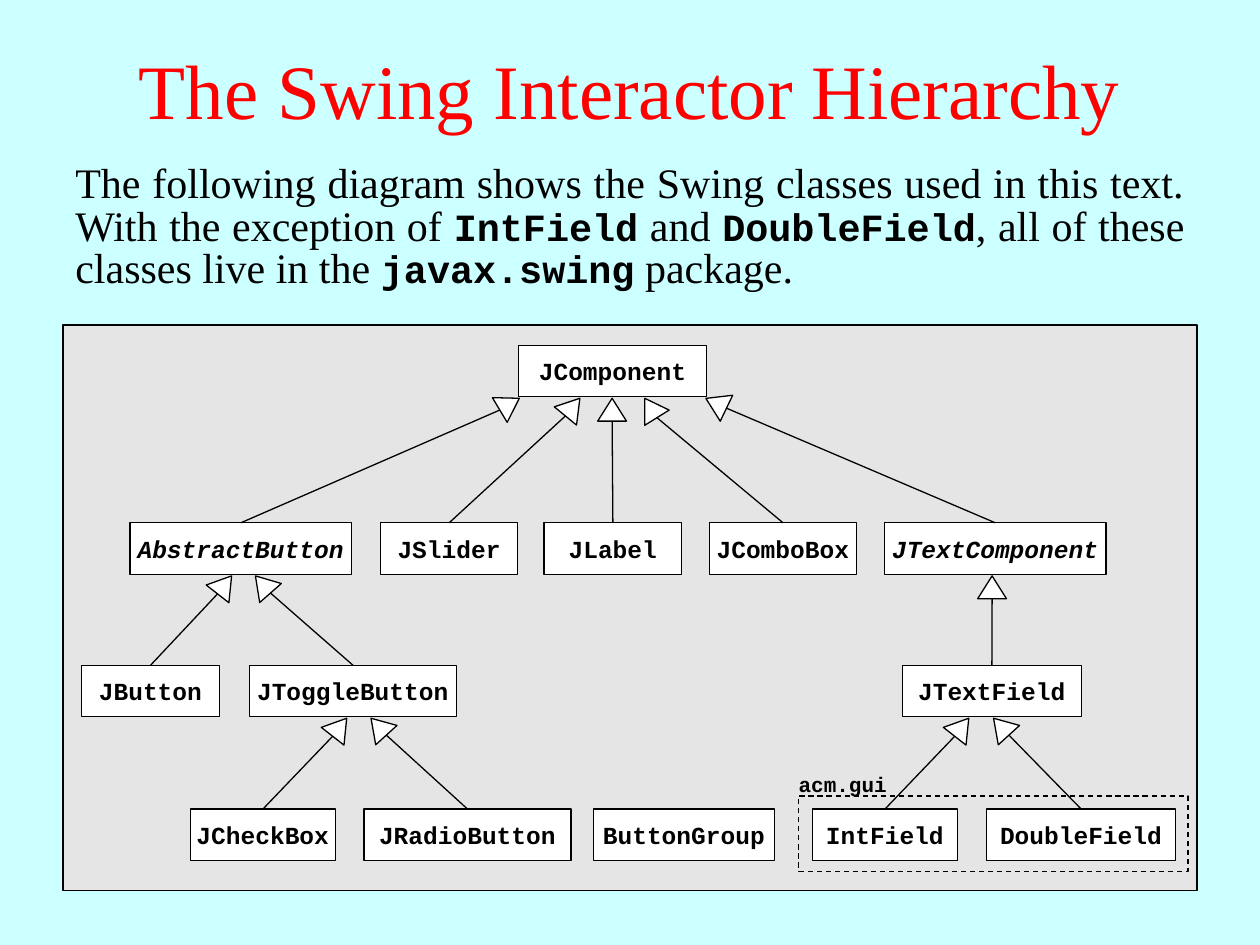
import math

from lxml import etree
from pptx import Presentation
from pptx import util as u
from pptx.dml.color import RGBColor
from pptx.enum import dml, shapes, text
from pptx.oxml import ns

SKY = RGBColor(0xCC, 0xFF, 0xFF)
RED = RGBColor(0xFF, 0x00, 0x00)
BLACK = RGBColor(0x00, 0x00, 0x00)
WHITE = RGBColor(0xFF, 0xFF, 0xFF)
GRAY = RGBColor(0xE5, 0xE5, 0xE5)
SERIF, MONO = "Times New Roman", "Courier New"

TITLE = "The Swing Interactor Hierarchy"
# Plain and code runs alternate, starting with plain
INTRO = [
    "The following diagram shows the Swing classes used in this text. "
    "With the exception of ", "IntField", " and ", "DoubleField",
    ", all of these classes live in the ", "javax.swing", " package.",
]

# Lengths below are in cm: row top, then (class, left, width)
ROWS = [
    (6.96, [("JComponent", 10.46, 3.78)]),
    (10.54, [("AbstractButton", 2.62, 4.47), ("JSlider", 7.67, 2.77),
             ("JLabel", 10.97, 2.77), ("JComboBox", 14.3, 2.97),
             ("JTextComponent", 17.83, 4.47)]),
    (13.41, [("JButton", 1.65, 2.77), ("JToggleButton", 5.03, 4.17),
             ("JTextField", 18.19, 3.61)]),
    (16.31, [("JCheckBox", 3.84, 2.92), ("JRadioButton", 7.34, 4.17),
             ("ButtonGroup", 11.96, 3.66), ("IntField", 16.38, 2.92),
             ("DoubleField", 19.89, 3.81)]),
]
ABSTRACT = {"AbstractButton", "JTextComponent"}

# Parent: (child, x of the arrow tip, turn of the arrow in degrees)
LINKS = {
    "JComponent": [("AbstractButton", 10.47, 59.1), ("JSlider", 11.69, 39.4),
                   ("JLabel", 12.34, 0), ("JComboBox", 13, -31.9),
                   ("JTextComponent", 14.23, -64.4)],
    "AbstractButton": [("JButton", 4.67, 38), ("JToggleButton", 5.15, -41.3)],
    "JTextComponent": [("JTextField", 20, 0)],
    "JToggleButton": [("JCheckBox", 6.99, 38), ("JRadioButton", 7.48, -42.3)],
    "JTextField": [("IntField", 19.53, 38), ("DoubleField", 20.03, -42.3)],
}
BOX_H, TIP_W, TIP_H, GAP = 1.04, 0.58, 0.46, 0.03

deck = Presentation()
deck.slide_width, deck.slide_height = u.Cm(25.4), u.Cm(19.05)
slide = deck.slides.add_slide(deck.slide_layouts[6])
slide.background.fill.solid()
slide.background.fill.fore_color.rgb = SKY


def write(para, words, size, face=MONO, color=BLACK, bold=True, italic=False):
    run = para.add_run()
    run.text = words
    font = run.font
    font.size, font.name, font.bold, font.italic = u.Pt(size), face, bold, italic
    font.color.rgb = color


def add_text(left, top, width, height, align, anchor=text.MSO_ANCHOR.TOP):
    """Add a wrapping text box and return its first paragraph."""
    frame = slide.shapes.add_textbox(
        u.Cm(left), u.Cm(top), u.Cm(width), u.Cm(height)).text_frame
    frame.word_wrap = True
    frame.vertical_anchor = anchor
    para = frame.paragraphs[0]
    para.alignment = align
    return para


def ink(item):
    item.line.color.rgb = BLACK
    item.line.width = u.Pt(0.75)


def add_form(left, top, width, height, fill=WHITE,
             kind=shapes.MSO_SHAPE.RECTANGLE):
    form = slide.shapes.add_shape(
        kind, u.Cm(left), u.Cm(top), u.Cm(width), u.Cm(height))
    form.shadow.inherit = False
    if fill is None:
        form.fill.background()
    else:
        form.fill.solid()
        form.fill.fore_color.rgb = fill
    ink(form)
    return form


def add_class(name, left, top, width):
    box = add_form(left, top, width, BOX_H)
    frame = box.text_frame
    frame.word_wrap = False
    frame.vertical_anchor = text.MSO_ANCHOR.MIDDLE
    para = frame.paragraphs[0]
    para.alignment = text.PP_ALIGN.CENTER
    write(para, name, 14, italic=name in ABSTRACT)
    return box


def add_link(child, tip_x, tip_y, turn):
    """Draw a line from the child's top to the base of a turned triangle."""
    dx, dy = -math.sin(math.radians(turn)), math.cos(math.radians(turn))
    mid_x, mid_y = tip_x + dx * TIP_H / 2, tip_y + dy * TIP_H / 2
    tip = add_form(mid_x - TIP_W / 2, mid_y - TIP_H / 2, TIP_W, TIP_H,
                   kind=shapes.MSO_SHAPE.ISOSCELES_TRIANGLE)
    tip.rotation = turn
    line = slide.shapes.add_connector(
        shapes.MSO_CONNECTOR.STRAIGHT, 0, 0,
        u.Cm(tip_x + dx * TIP_H), u.Cm(tip_y + dy * TIP_H))
    line.begin_connect(child, 0)
    ink(line)
    etree.SubElement(line._element.spPr, ns.qn("a:effectLst"))


head = add_text(0, 0.2, 25.4, 3.18, text.PP_ALIGN.CENTER, text.MSO_ANCHOR.MIDDLE)
write(head, TITLE, 44, SERIF, RED, bold=False)

intro = add_text(1.27, 3.18, 22.86, 3.71, text.PP_ALIGN.JUSTIFY)
intro.line_spacing = 0.85
for i, part in enumerate(INTRO):
    if i % 2:
        write(intro, part, 22)
    else:
        write(intro, part, 24, SERIF, bold=False)

add_form(1.27, 6.55, 22.86, 11.4, GRAY)
boxes, ends = {}, {}
for top, row in ROWS:
    for name, left, width in row:
        boxes[name] = add_class(name, left, top, width)
        ends[name] = top + BOX_H

for parent, kids in LINKS.items():
    for child, tip_x, turn in kids:
        add_link(boxes[child], tip_x, ends[parent] + GAP, turn)

group = add_form(16.1, 16.05, 7.85, 1.52, None)
group.line.dash_style = dml.MSO_LINE.DASH
label = add_text(15.85, 15.42, 2.34, 0.76, text.PP_ALIGN.LEFT)
write(label, "acm.gui", 12)

deck.save("out.pptx")
